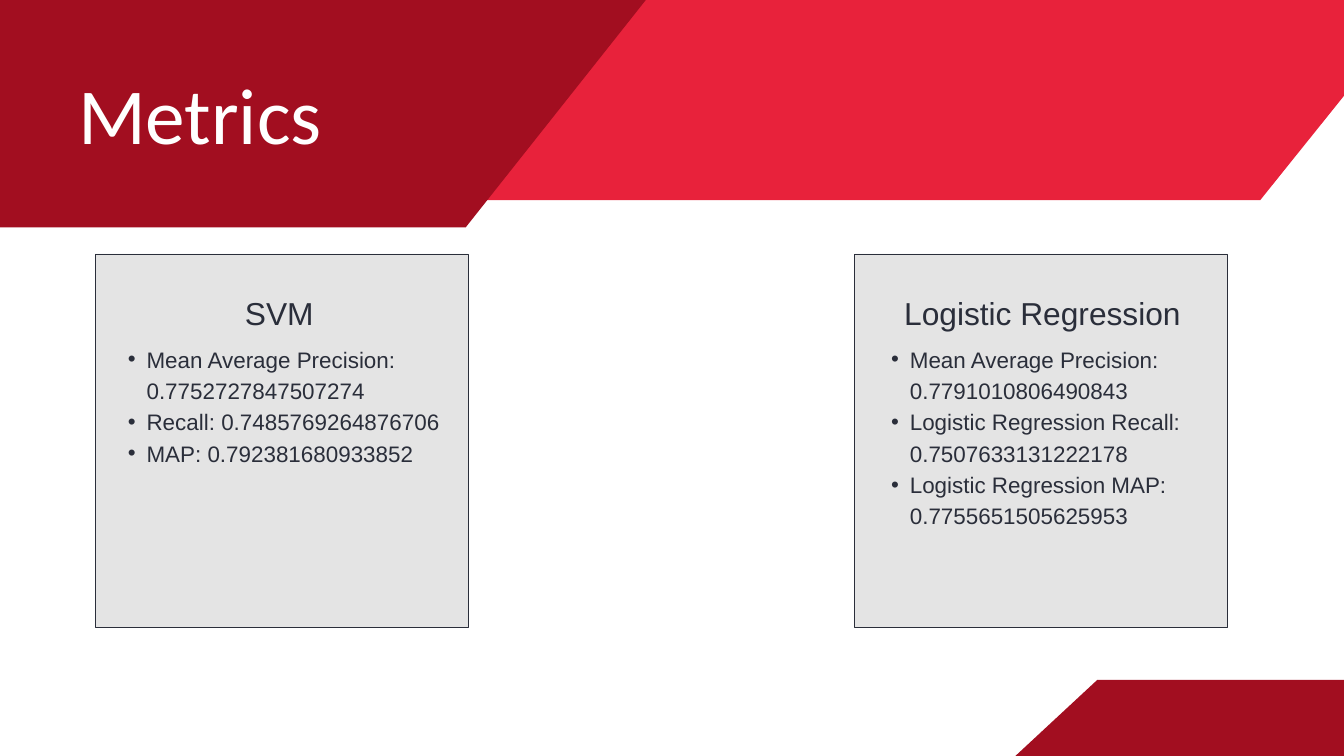
from dataclasses import dataclass

from lxml.etree import SubElement
from pptx import Presentation
from pptx.dml.color import RGBColor
from pptx.enum.shapes import MSO_SHAPE
from pptx.enum.text import MSO_ANCHOR, MSO_AUTO_SIZE, PP_ALIGN
from pptx.oxml.ns import qn
from pptx.util import Cm, Pt


@dataclass(frozen=True)
class Theme:
    red: str = "E8223B"
    dark: str = "A20E20"
    grey: str = "E4E4E4"
    ink: str = "2A2E3A"
    white: str = "FFFFFF"
    title: int = 85
    head: int = 34
    body: int = 24
    display: str = "Calibri"
    sans: str = "Arial"


THEME = Theme()

CARDS = [
    (3.61, 4.09, 5.77, "SVM", [
        "Mean Average Precision: 0.7752727847507274",
        "Recall: 0.7485769264876706",
        "MAP: 0.792381680933852",
    ]),
    (32.31, 32.94, 8.1, "Logistic Regression", [
        "Mean Average Precision: 0.7791010806490843",
        "Logistic Regression Recall: 0.7507633131222178",
        "Logistic Regression MAP: 0.7755651505625953",
    ]),
]


def paint(shape, fill, line=None):
    shape.shadow.inherit = False
    shape.fill.solid()
    shape.fill.fore_color.rgb = RGBColor.from_string(fill)
    if line:
        shape.line.color.rgb = RGBColor.from_string(line)
        shape.line.width = Pt(0.75)
    else:
        shape.line.fill.background()


def add_slab(slide, left, right, cut, wide, narrow, fill):
    points = [(left, wide), (right, wide), (right - cut, narrow), (left + cut, narrow)]
    points = [(Cm(x), Cm(y)) for x, y in points]
    pen = slide.shapes.build_freeform(*points[0])
    pen.add_line_segments(points[1:], close=True)
    paint(pen.convert_to_shape(), fill)


def add_bullet(para):
    para.level = 1
    props = para._p.get_or_add_pPr()
    props.set("marL", str(Cm(1.45)))
    props.set("indent", str(Cm(-0.71)))
    SubElement(props, qn("a:buChar"), char="•")


def put_text(holder, lines, box, size, lead, font=THEME.sans, color=THEME.ink,
             align=PP_ALIGN.LEFT, bullet=False):
    holder.left, holder.top, holder.width, holder.height = map(Cm, box)
    holder.element.getparent().append(holder.element)
    frame = holder.text_frame
    frame.word_wrap = True
    frame.auto_size = MSO_AUTO_SIZE.NONE
    frame.vertical_anchor = MSO_ANCHOR.TOP
    frame.margin_left = frame.margin_right = 0
    frame.margin_top = frame.margin_bottom = 0
    frame.text = "\n".join(lines)
    for para in frame.paragraphs:
        para.alignment = align
        para.line_spacing = Pt(lead)
        para.space_before = para.space_after = Pt(0)
        if bullet:
            add_bullet(para)
        run = para.runs[0].font
        run.name, run.size, run.bold = font, Pt(size), False
        run.color.rgb = RGBColor.from_string(color)


def add_card(slide, head, body, card):
    left, inner, height, name, lines = card
    box = slide.shapes.add_shape(
        MSO_SHAPE.RECTANGLE, Cm(left), Cm(9.6), Cm(14.08), Cm(14.1))
    paint(box, THEME.grey, THEME.ink)
    put_text(head, [name], (inner, 11.1, 12.93, 1.47), THEME.head, 40.8,
             align=PP_ALIGN.CENTER)
    put_text(body, lines, (inner, 12.9, 12.93, height), THEME.body, 33.6, bullet=True)


def main():
    deck = Presentation()
    deck.slide_width, deck.slide_height = Cm(50.8), Cm(28.58)
    slide = deck.slides.add_slide(deck.slide_layouts.get_by_name("Comparison"))
    title, *slots = slide.placeholders

    add_slab(slide, -0.89, 59.79, 12.16, -7.57, 7.57, THEME.red)
    add_slab(slide, -17.37, 24.61, 7.01, -0.25, 8.6, THEME.dark)
    add_slab(slide, 38.38, 54.38, 3.1, 28.58, 25.7, THEME.dark)
    put_text(title, ["Metrics"], (2.95, 2.46, 17.25, 3.58), THEME.title, 102,
             font=THEME.display, color=THEME.white)
    for head, body, card in zip(slots[::2], slots[1::2], CARDS):
        add_card(slide, head, body, card)
    deck.save("out.pptx")


if __name__ == "__main__":
    main()
